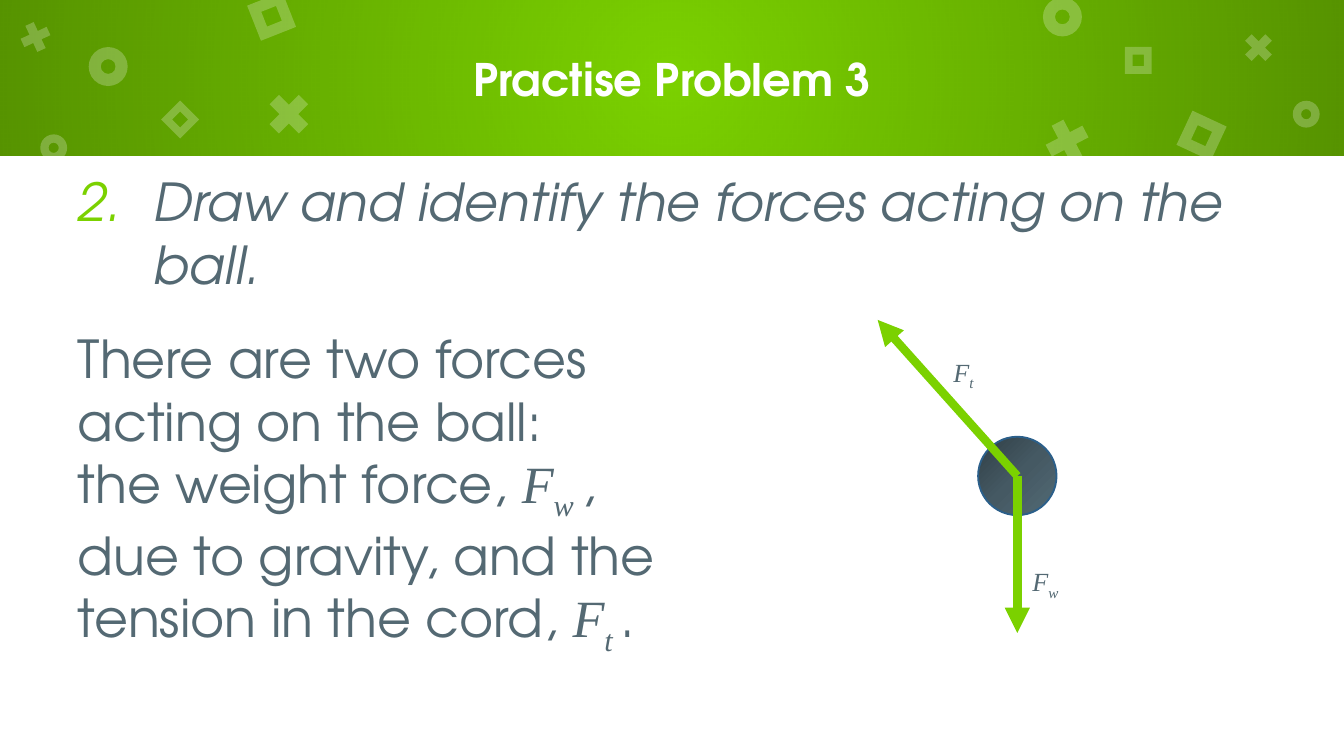
from lxml import etree
from pptx import Presentation
from pptx.dml.color import RGBColor
from pptx.enum.shapes import MSO_CONNECTOR, MSO_SHAPE
from pptx.enum.text import MSO_ANCHOR, MSO_AUTO_SIZE, PP_ALIGN
from pptx.oxml import parse_xml
from pptx.oxml.ns import nsdecls, qn
from pptx.util import Pt

RECT, OVAL = MSO_SHAPE.RECTANGLE, MSO_SHAPE.OVAL
RING, CROSS, FRAME = MSO_SHAPE.DONUT, MSO_SHAPE.MATH_MULTIPLY, MSO_SHAPE.FRAME
LEFT, CENTER = PP_ALIGN.LEFT, PP_ALIGN.CENTER
TOP, MIDDLE = MSO_ANCHOR.TOP, MSO_ANCHOR.MIDDLE

GREEN = RGBColor(0x7B, 0xD1, 0x00)
WHITE = RGBColor(0xFF, 0xFF, 0xFF)
SLATE = RGBColor(0x54, 0x69, 0x73)
BLUE = RGBColor(0x2B, 0x5F, 0x8A)

SANS, SERIF = "TeX Gyre Adventor", "Times New Roman"
WIDTH, HEIGHT, BAND_HEIGHT = 720, 405, 83.7

TITLE = "Practise Problem 3"
QUESTION = "Draw and identify the forces acting on the ball."
# Each span is (text, style); styles are defined in STYLES.
ANSWER = [
    [("There are two forces acting on the ball:", "plain")],
    [("the weight force, ", "plain"), ("F", "symbol"), ("w ", "subscript"),
     (", due to gravity, and the tension in the cord, ", "plain"),
     ("F", "symbol"), ("t ", "subscript"), (".", "plain")],
]
STYLES = {
    "plain": {"name": SANS},
    "heading": {"name": SANS, "bold": True},
    "question": {"name": SANS, "italic": True},
    "symbol": {"name": SERIF, "italic": True},
    "subscript": {"name": SERIF, "italic": True},
}

ADJUSTMENT = {RING: 0.31, CROSS: 0.235, FRAME: 0.289}
# Shape, left, top, size, rotation
ORNAMENTS = [
    (RING, 47.5, 25.2, 20.9, 0),
    (CROSS, 139.7, 46.1, 30.2, 0),
    (FRAME, 135.4, -1.4, 20.2, 338.4),
    (RING, 558.7, -1.4, 20.9, 0),
    (CROSS, 556.6, 60.5, 30.2, 17.5),
    (FRAME, 633.6, 62.6, 20.2, 25),
    (RING, 21.6, 72, 14.4, 0),
    (CROSS, 8.6, 9.4, 20.9, 20.4),
    (FRAME, 89.3, 56.9, 14.4, 45),
    (RING, 692.6, 54, 14.4, 0),
    (CROSS, 663.8, 15.1, 20.9, 0),
    (FRAME, 602.6, 25.2, 14.4, 0),
]

BALL_CENTER, BALL_SIZE = (545, 255), 42
# Arrow tip, label subscript, label box
FORCES = [
    ((470.2, 171.4), "t", (501.8, 187.2, 28.8, 24.2)),
    ((545, 339.1), "w", (545, 299.5, 30.2, 24.2)),
]


def add_solid(page, kind, left, top, width, height, color):
    shape = page.shapes.add_shape(kind, Pt(left), Pt(top), Pt(width), Pt(height))
    shape.shadow.inherit = False
    shape.fill.solid()
    shape.fill.fore_color.rgb = color
    shape.line.fill.background()
    return shape


def set_gradient(shape, stops, direction):
    """Replace the solid fill; stops are (position %, colour, alpha %)."""
    stop_xml = "".join(
        f'<a:gs pos="{position * 1000}"><a:srgbClr val="{color}">'
        f'<a:alpha val="{alpha * 1000}"/></a:srgbClr></a:gs>'
        for position, color, alpha in stops)
    gradient = parse_xml(f'<a:gradFill {nsdecls("a")} rotWithShape="1">'
                         f'<a:gsLst>{stop_xml}</a:gsLst>{direction}</a:gradFill>')
    properties = shape._element.spPr
    properties.replace(properties.find(qn("a:solidFill")), gradient)


def write(box, place, paragraphs, size, color, align=LEFT, anchor=TOP, inset=(7.2, 7.2)):
    """Place a text shape and fill it with paragraphs of styled spans."""
    box.left, box.top, box.width, box.height = (Pt(length) for length in place)
    frame = box.text_frame
    frame.word_wrap = True
    frame.auto_size = MSO_AUTO_SIZE.NONE
    frame.vertical_anchor = anchor
    frame.margin_left = frame.margin_right = Pt(inset[0])
    frame.margin_top = frame.margin_bottom = Pt(inset[1])
    for index, spans in enumerate(paragraphs):
        para = frame.add_paragraph() if index else frame.paragraphs[0]
        para.alignment = align
        for text, style in spans:
            span = para.add_run()
            span.text = text
            for key, value in STYLES[style].items():
                setattr(span.font, key, value)
            span.font.size = Pt(size)
            span.font.color.rgb = color
            if style == "subscript":
                span._r.get_or_add_rPr().set("baseline", "-25000")
    return frame


def add_text(page, place, *args, **options):
    return write(page.shapes.add_textbox(0, 0, 0, 0), place, *args, **options)


def number_paragraph(para, start, indent):
    properties = para._p.get_or_add_pPr()
    properties.set("marL", str(Pt(indent)))
    properties.set("indent", str(-Pt(indent)))
    color = etree.SubElement(properties, qn("a:buClr"))
    etree.SubElement(color, qn("a:srgbClr"), val=str(GREEN))
    etree.SubElement(properties, qn("a:buFont"), typeface=SANS)
    etree.SubElement(properties, qn("a:buAutoNum"), type="arabicPeriod", startAt=str(start))


def add_arrow(page, start, tip):
    ends = [Pt(length) for length in start + tip]
    arrow = page.shapes.add_connector(MSO_CONNECTOR.STRAIGHT, *ends)
    arrow.line.color.rgb = GREEN
    arrow.line.width = Pt(4.5)
    etree.SubElement(arrow.line._get_or_add_ln(), qn("a:tailEnd"), type="triangle")
    etree.SubElement(arrow._element.spPr, qn("a:effectLst"))


def add_header(page):
    band = add_solid(page, RECT, 0, 0, WIDTH, BAND_HEIGHT, GREEN)
    set_gradient(band, [(0, "000000", 0), (100, "000000", 30)],
                 '<a:path path="circle">'
                 '<a:fillToRect l="50000" t="50000" r="50000" b="50000"/></a:path>')
    add_solid(page, RECT, 0, BAND_HEIGHT, WIDTH, HEIGHT - BAND_HEIGHT, WHITE)
    for kind, left, top, size, rotation in ORNAMENTS:
        ornament = add_solid(page, kind, left, top, size, size, WHITE)
        ornament.adjustments[0] = ADJUSTMENT[kind]
        ornament.rotation = rotation
        color = ornament._element.spPr.find(qn("a:solidFill"))[0]
        etree.SubElement(color, qn("a:alpha"), val="24000")
    title = page.shapes.title
    page.shapes._spTree.append(title._element)  # bring in front of the band
    write(title, (68.4, 0, 583.2, BAND_HEIGHT), [[(TITLE, "heading")]], 24, WHITE,
          align=CENTER, anchor=MIDDLE)


def add_diagram(page):
    left, top = (middle - BALL_SIZE / 2 for middle in BALL_CENTER)
    ball = add_solid(page, OVAL, left, top, BALL_SIZE, BALL_SIZE, SLATE)
    set_gradient(ball, [(0, "303F46", 100), (50, "455963", 100), (100, "526A75", 100)],
                 '<a:lin ang="2700000" scaled="0"/>')
    ball.line.color.rgb = BLUE
    ball.line.width = Pt(1)
    for tip, subscript, place in FORCES:
        add_arrow(page, BALL_CENTER, tip)
        add_text(page, place, [[("F", "symbol"), (subscript, "subscript")]], 14, SLATE,
                 align=CENTER, inset=(7.2, 3.6))


def main():
    deck = Presentation()
    deck.slide_width, deck.slide_height = Pt(WIDTH), Pt(HEIGHT)
    page = deck.slides.add_slide(deck.slide_layouts[5])
    page.background.fill.solid()
    page.background.fill.fore_color.rgb = GREEN
    add_header(page)
    question = add_text(page, (34.6, BAND_HEIGHT, 651.6, 83.5),
                        [[(QUESTION, "question")]], 28, SLATE)
    number_paragraph(question.paragraphs[0], start=2, indent=40.5)
    add_text(page, (34.6, 167.5, 325.4, 220.3), ANSWER, 28, SLATE)
    add_diagram(page)
    deck.save("out.pptx")


if __name__ == "__main__":
    main()
